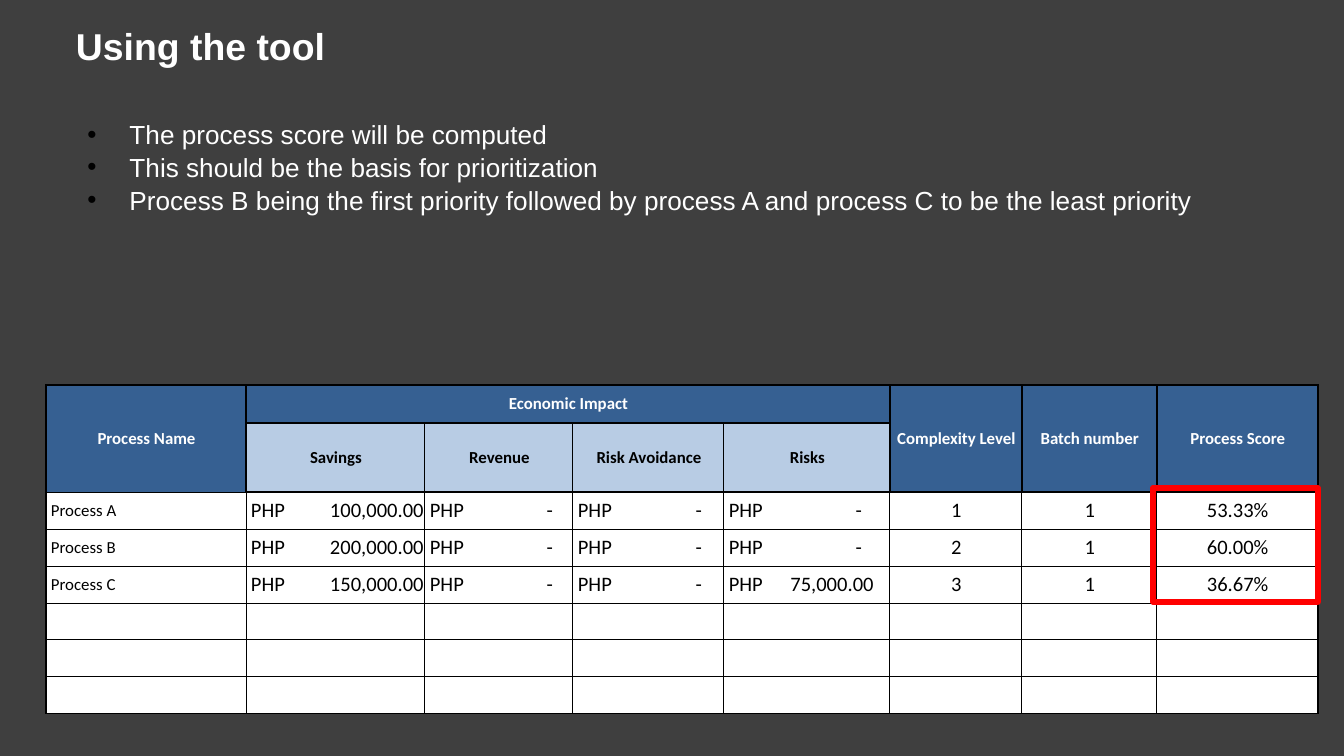
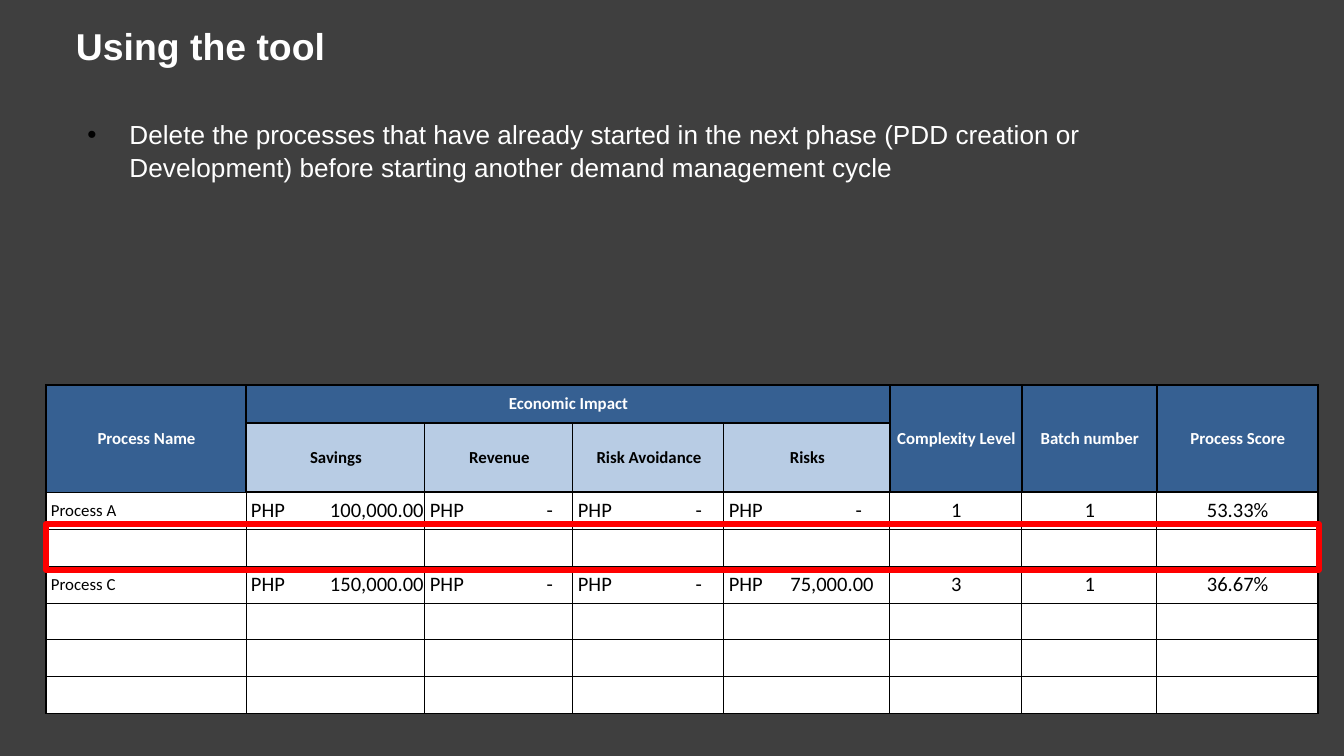
from lxml.etree import SubElement
from pptx import Presentation
from pptx.dml.color import RGBColor
from pptx.enum.shapes import MSO_SHAPE
from pptx.enum.text import MSO_ANCHOR, MSO_AUTO_SIZE, PP_ALIGN
from pptx.oxml.ns import qn
from pptx.util import Emu, Pt

COLS = (200, 179, 148, 151, 166, 132, 135, 161)
ROWS = (38, 69) + (37,) * 6
HEAD = ("Process Name", "Economic Impact", "", "", "",
        "Complexity Level", "Batch number", "Process Score")
SUBS = ("", "Savings", "Revenue", "Risk Avoidance", "Risks", "", "", "")
NONE = ("",) * len(COLS)
MERGE = ((0, 0, 1, 0), (0, 1, 0, 4), (0, 5, 1, 5), (0, 6, 1, 6), (0, 7, 1, 7))
STOPS = {1: 173, 2: 123, 3: 124, 4: 133}
NIL = "PHP\t-"
PROC_A = ("Process A", "PHP\t100,000.00", NIL, NIL, NIL, "1", "1", "53.33%")
PROC_B = ("Process B", "PHP\t200,000.00", NIL, NIL, NIL, "2", "1", "60.00%")
PROC_C = ("Process C", "PHP\t150,000.00", NIL, NIL, "PHP\t75,000.00", "3", "1", "36.67%")


def px(count):
    return Emu(round(count * 9144000 / 1344))


def rgb(code):
    return RGBColor.from_string(code)


class Deck:
    """Hold the shared style and the current slide."""

    dark, blue, pale = "3F3F3F", "366092", "B8CCE4"
    white, black, red = "FFFFFF", "000000", "FF0000"

    def __init__(self):
        self.prs = Presentation()
        self.prs.slide_width, self.prs.slide_height = px(1344), px(756)
        fill = self.prs.slide_master.background.fill
        fill.solid()
        fill.fore_color.rgb = rgb(self.dark)

    def start(self):
        self.slide = self.prs.slides.add_slide(self.prs.slide_layouts[1])

    def place(self, shape, left, top, width, height):
        shape.left, shape.top = px(left), px(top)
        shape.width, shape.height = px(width), px(height)

    def style(self, para, size, color, face="Arial", bold=False, align=PP_ALIGN.LEFT):
        para.alignment = align
        font = para.font
        font.size, font.name, font.bold = Pt(size), face, bold
        font.color.rgb = rgb(color)

    def title(self, text):
        shape = self.slide.shapes.title
        self.place(shape, 46, 7, 1253, 78)
        frame = shape.text_frame
        frame.text = text
        frame.auto_size = MSO_AUTO_SIZE.NONE
        frame.vertical_anchor = MSO_ANCHOR.MIDDLE
        frame.margin_left = frame.margin_right = px(13)
        frame.margin_top = frame.margin_bottom = px(13)
        para = frame.paragraphs[0]
        para._p.get_or_add_pPr().set("marL", str(px(17)))
        self.style(para, 20, self.white, bold=True)

    def points(self, lines, height):
        shape = self.slide.placeholders[1]
        self.place(shape, 74, 110, 1181, height)
        frame = shape.text_frame
        frame.text = "\n".join(lines)
        frame.auto_size = MSO_AUTO_SIZE.NONE
        for para in frame.paragraphs:
            props = para._p.get_or_add_pPr()
            props.set("marL", str(px(42)))
            props.set("indent", str(px(-42)))
            tint = SubElement(props, qn("a:buClr"))
            SubElement(tint, qn("a:srgbClr"), val=self.black)
            SubElement(props, qn("a:buFont"), typeface="Arial")
            SubElement(props, qn("a:buChar"), char="•")
            para.space_before = Pt(0)
            para.line_spacing = 1.05
            self.style(para, 14, self.white)

    def edge(self, cell, sides):
        props = cell._tc.get_or_add_tcPr()
        for side, thick in zip("LRTB", sides):
            line = SubElement(props, qn("a:ln" + side), w=str(Pt(1 if thick else 0.5)))
            fill = SubElement(line, qn("a:solidFill"))
            SubElement(fill, qn("a:srgbClr"), val=self.black)

    def cell(self, cell, row, col, text):
        sub = row == 1 and 1 <= col <= 4
        head = row < 2
        if sub:
            self.edge(cell, (col == 1, col == 4, True, True))
        elif head:
            self.edge(cell, (True, True, True, col > 0))
        else:
            self.edge(cell, (col == 0, col == 7, row == 2 and col > 0, False))
        cell.fill.solid()
        back = self.pale if sub else self.blue if head else self.white
        cell.fill.fore_color.rgb = rgb(back)
        cell.vertical_anchor = MSO_ANCHOR.MIDDLE
        cell.margin_left = px(1 if head or col > 4 else 5)
        cell.margin_right = cell.margin_top = cell.margin_bottom = 0
        cell.text = text
        para = cell.text_frame.paragraphs[0]
        if "\t" in text:
            stop = STOPS[col] if col == 1 or text == NIL else 145
            tabs = SubElement(para._p.get_or_add_pPr(), qn("a:tabLst"))
            SubElement(tabs, qn("a:tab"), pos=str(px(stop)), algn="r")
        size = 9 if head or col == 0 else 11
        color = self.white if head and not sub else self.black
        align = PP_ALIGN.CENTER if head or col > 4 else PP_ALIGN.LEFT
        self.style(para, size, color, "Calibri", head, align)
        if not text:
            SubElement(para._p, qn("a:endParaRPr"), sz=str(size * 100))

    def table(self, data):
        rows = (HEAD, SUBS, *data)
        table = self.slide.shapes.add_table(
            len(ROWS), len(COLS), px(46), px(385), px(sum(COLS)), px(sum(ROWS))).table
        table.first_row = table.horz_banding = False
        for col, width in zip(table.columns, COLS):
            col.width = px(width)
        for row, height in zip(table.rows, ROWS):
            row.height = px(height)
        for top, left, low, right in MERGE:
            table.cell(top, left).merge(table.cell(low, right))
        for row, texts in enumerate(rows):
            for col, text in enumerate(texts):
                self.cell(table.cell(row, col), row, col, text)

    def frame(self, left, top, width, height):
        shape = self.slide.shapes.add_shape(
            MSO_SHAPE.RECTANGLE, px(left), px(top), px(width), px(height))
        shape.shadow.inherit = False
        shape.fill.background()
        shape.line.color.rgb = rgb(self.red)
        shape.line.width = Pt(3)


def main():
    deck = Deck()
    pages = (
        (("The process score will be computed",
          "This should be the basis for prioritization",
          "Process B being the first priority followed by process A "
          "and process C to be the least priority"),
         109, PROC_B, (1153, 488, 165, 114)),
        (("Delete the processes that have already started in the next phase "
          "(PDD creation or Development) before starting another demand management cycle",),
         77, NONE, (46, 524, 1273, 46)),
    )
    for lines, height, second, box in pages:
        deck.start()
        deck.title("Using the tool")
        deck.points(lines, height)
        deck.table((PROC_A, second, PROC_C, NONE, NONE, NONE))
        deck.frame(*box)
    deck.prs.save("out.pptx")


if __name__ == "__main__":
    main()
